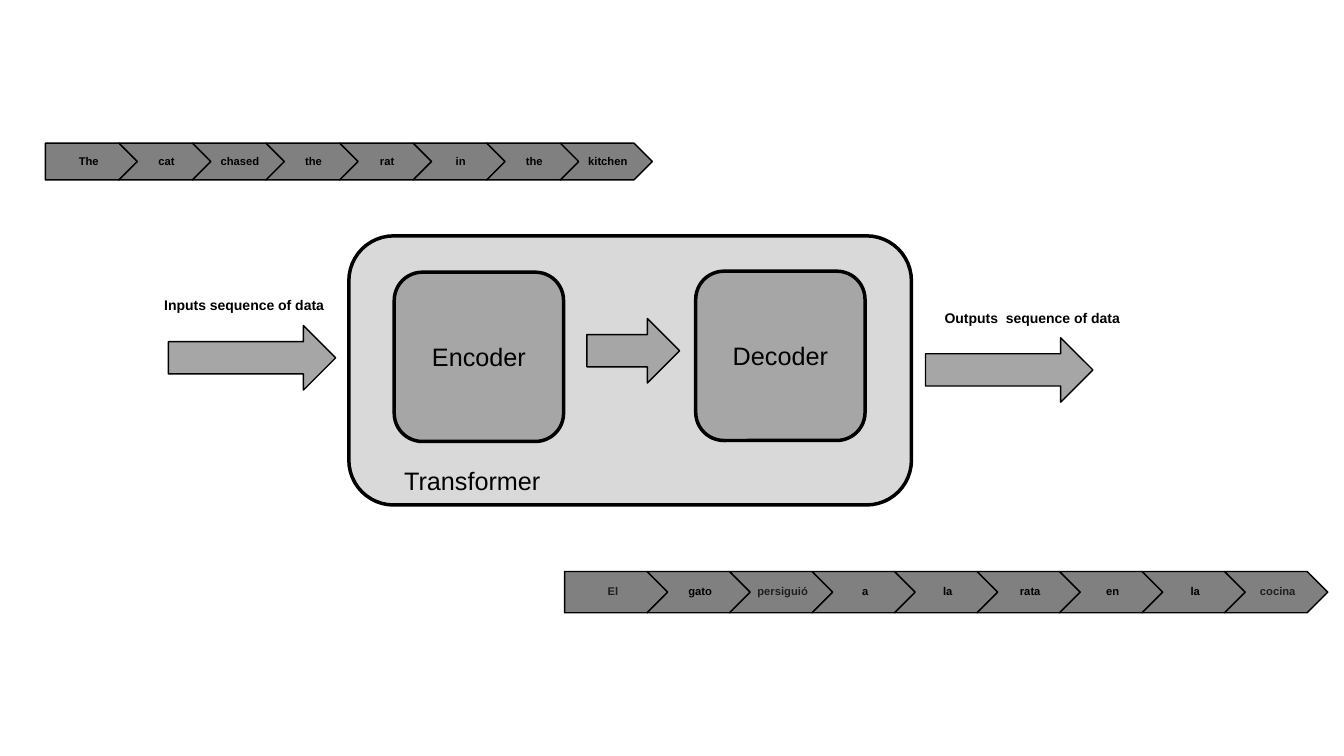
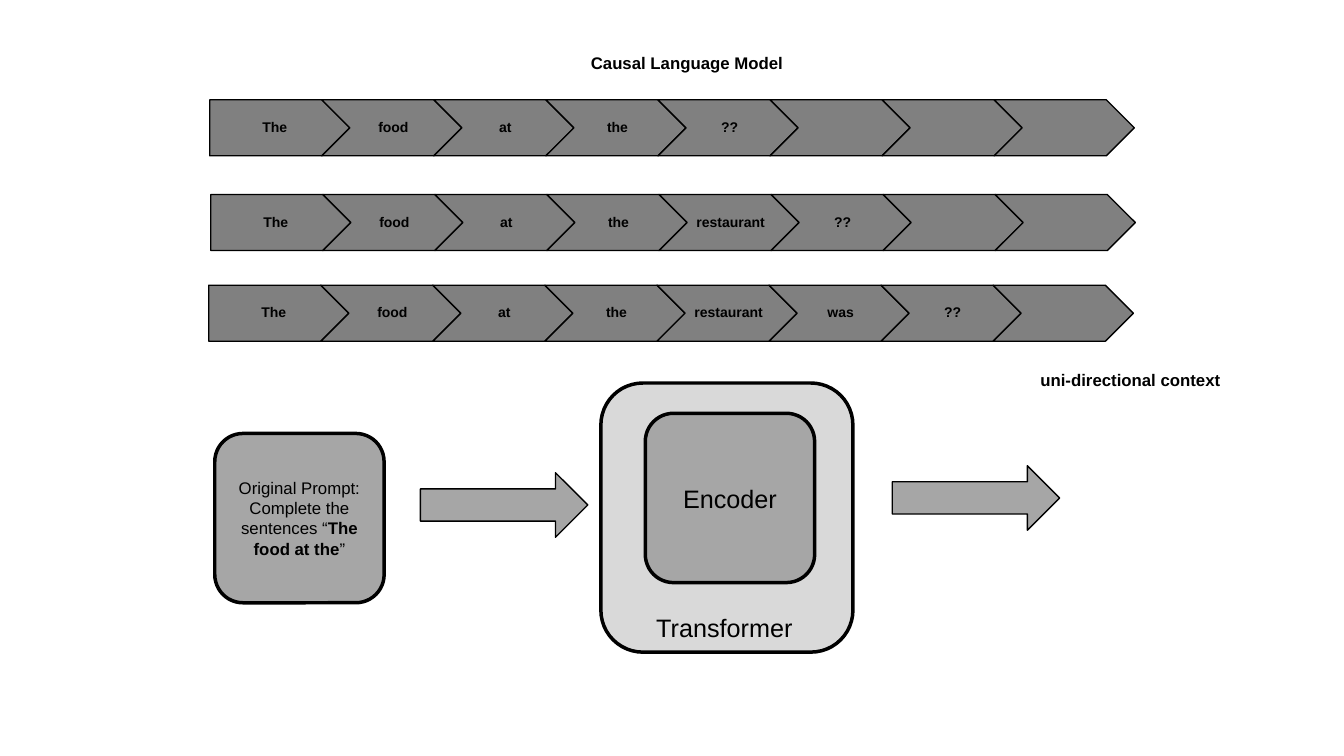
from pptx import Presentation
from pptx.dml.color import RGBColor
from pptx.enum.shapes import MSO_SHAPE
from pptx.enum.text import MSO_ANCHOR, MSO_AUTO_SIZE, PP_ALIGN
from pptx.util import Inches, Pt

ROUNDED = MSO_SHAPE.ROUNDED_RECTANGLE
RIGHT_ARROW = MSO_SHAPE.RIGHT_ARROW
PENTAGON = MSO_SHAPE.PENTAGON
CHEVRON = MSO_SHAPE.CHEVRON
TOP, MIDDLE = MSO_ANCHOR.TOP, MSO_ANCHOR.MIDDLE
LEFT, CENTER = PP_ALIGN.LEFT, PP_ALIGN.CENTER
NO_AUTOFIT = MSO_AUTO_SIZE.NONE

TITLE_ONLY, BLANK = 5, 6
FONT = "Arial"
BLACK, SOFT_BLACK = "000000", "1F1F1F"
LIGHT_GRAY, MID_GRAY, DARK_GRAY = "D9D9D9", "A6A6A6", "808080"
DEFAULT_MARGINS = (0.1, 0.05, 0.1, 0.05)
STAGE_SIZE = 1.68
MODEL_HEIGHT = 2.67
ARROW_WIDTH, ARROW_HEIGHT = 1.66, 0.64
LABEL_WIDTH = 2.22


def color(hex_string):
    return RGBColor.from_string(hex_string)


def set_text(shape, text, size=10, bold=False, fill=BLACK, align=LEFT,
             anchor=TOP, margins=DEFAULT_MARGINS, spacing=1.0):
    """Fill a shape with one paragraph; text is a string or (text, bold) runs."""
    frame = shape.text_frame
    frame.word_wrap = True
    frame.auto_size = NO_AUTOFIT
    frame.vertical_anchor = anchor
    (frame.margin_left, frame.margin_top,
     frame.margin_right, frame.margin_bottom) = map(Inches, margins)
    paragraph = frame.paragraphs[0]
    paragraph.alignment = align
    paragraph.line_spacing = spacing
    runs = [(text, bold)] if isinstance(text, str) else text
    for run_text, run_bold in runs:
        run = paragraph.add_run()
        run.text = run_text
        run.font.name = FONT
        run.font.size = Pt(size)
        run.font.bold = run_bold
        run.font.color.rgb = color(fill)


def add_box(slide, kind, left, top, width, height, fill, line_width=1):
    shape = slide.shapes.add_shape(
        kind, Inches(left), Inches(top), Inches(width), Inches(height))
    shape.shadow.inherit = False
    shape.fill.solid()
    shape.fill.fore_color.rgb = color(fill)
    shape.line.color.rgb = color(BLACK)
    shape.line.width = Pt(line_width)
    return shape


def add_label(slide, text, left, top, height=0.3, **text_format):
    label = slide.shapes.add_textbox(
        Inches(left), Inches(top), Inches(LABEL_WIDTH), Inches(height))
    set_text(label, text, **text_format)


def add_title(slide, text, left, top):
    title = slide.shapes.title
    title.left, title.top = Inches(left), Inches(top)
    title.width, title.height = Inches(LABEL_WIDTH), Inches(0.3)
    set_text(title, text, size=12, bold=True)


def add_arrow(slide, left, top, width=ARROW_WIDTH):
    add_box(slide, RIGHT_ARROW, left, top, width, ARROW_HEIGHT, MID_GRAY)


def add_stage(slide, text, left, top, size=18):
    stage = add_box(slide, ROUNDED, left, top, STAGE_SIZE, STAGE_SIZE,
                    MID_GRAY, line_width=2.5)
    set_text(stage, text, size=size, align=CENTER, anchor=MIDDLE)


def add_transformer(slide, left, top, width, stages):
    """Draw the model frame; stages are (name, x, y) offsets inside it."""
    add_box(slide, ROUNDED, left, top, width, MODEL_HEIGHT,
            LIGHT_GRAY, line_width=2.5)
    for name, x, y in stages:
        add_stage(slide, name, left + x, top + y)
    add_label(slide, "Transformer", left + 0.45, top + 2.23,
              height=0.4, size=18)


def add_word_chain(slide, words, left, top, length, size, soft_words=()):
    """Spread overlapping chevrons over the length, one for each word."""
    width = length / (1 + 0.8 * (len(words) - 1))
    for index, word in enumerate(words):
        link = add_box(slide, CHEVRON if index else PENTAGON,
                       left + index * 0.8 * width, top,
                       width, 0.4 * width, DARK_GRAY)
        if word:
            set_text(link, word, size=size, bold=True, align=CENTER,
                     anchor=MIDDLE, spacing=0.9,
                     fill=SOFT_BLACK if word in soft_words else BLACK,
                     margins=(0.04 if index else 0.05, 0.02, 0.01, 0.02))


def build_translation_slide(presentation):
    slide = presentation.slides.add_slide(presentation.slide_layouts[BLANK])

    # Encoder and decoder
    add_transformer(slide, 3.46, 2.34, 5.58,
                    [("Encoder", 0.45, 0.36), ("Decoder", 3.44, 0.35)])
    add_arrow(slide, 5.82, 3.16, width=0.92)

    # Source and translated sentences
    add_word_chain(slide, "The cat chased the rat in the kitchen".split(),
                   0.45, 1.42, 6.02, size=8)
    add_word_chain(slide, "El gato persiguió a la rata en la cocina".split(),
                   5.6, 5.67, 7.57, size=8,
                   soft_words=("El", "persiguió", "cocina"))

    # Input and output
    add_arrow(slide, 1.67, 3.23)
    add_label(slide, "Inputs sequence of data", 1.53, 2.89, bold=True)
    add_arrow(slide, 9.18, 3.35)
    add_label(slide, "Outputs  sequence of data", 9.27, 3.02, bold=True)


def build_causal_slide(presentation):
    slide = presentation.slides.add_slide(
        presentation.slide_layouts[TITLE_ONLY])
    add_title(slide, "Causal Language Model", 5.76, 0.47)

    # The sentence grows by one predicted word in each row
    sentence = "The food at the restaurant was".split()
    for known, left, top in [(4, 2.08, 0.99), (5, 2.09, 1.93), (6, 2.07, 2.83)]:
        words = sentence[:known] + ["??"] + [""] * (7 - known)
        add_word_chain(slide, words, left, top, 9.17, size=10)
    add_label(slide, "uni-directional context", 10.22, 3.62,
              size=12, bold=True)

    # Prompt through the model
    add_stage(slide, [("Original Prompt: Complete the sentences “", False),
                      ("The food at the", True), ("”", False)],
              2.13, 4.3, size=12)
    add_arrow(slide, 4.17, 4.69)
    add_transformer(slide, 5.96, 3.8, 2.5, [("Encoder", 0.44, 0.3)])
    add_arrow(slide, 8.85, 4.62)


def main():
    presentation = Presentation()
    presentation.slide_width = Inches(13.33)
    presentation.slide_height = Inches(7.5)
    build_translation_slide(presentation)
    build_causal_slide(presentation)
    presentation.save("out.pptx")


if __name__ == "__main__":
    main()
